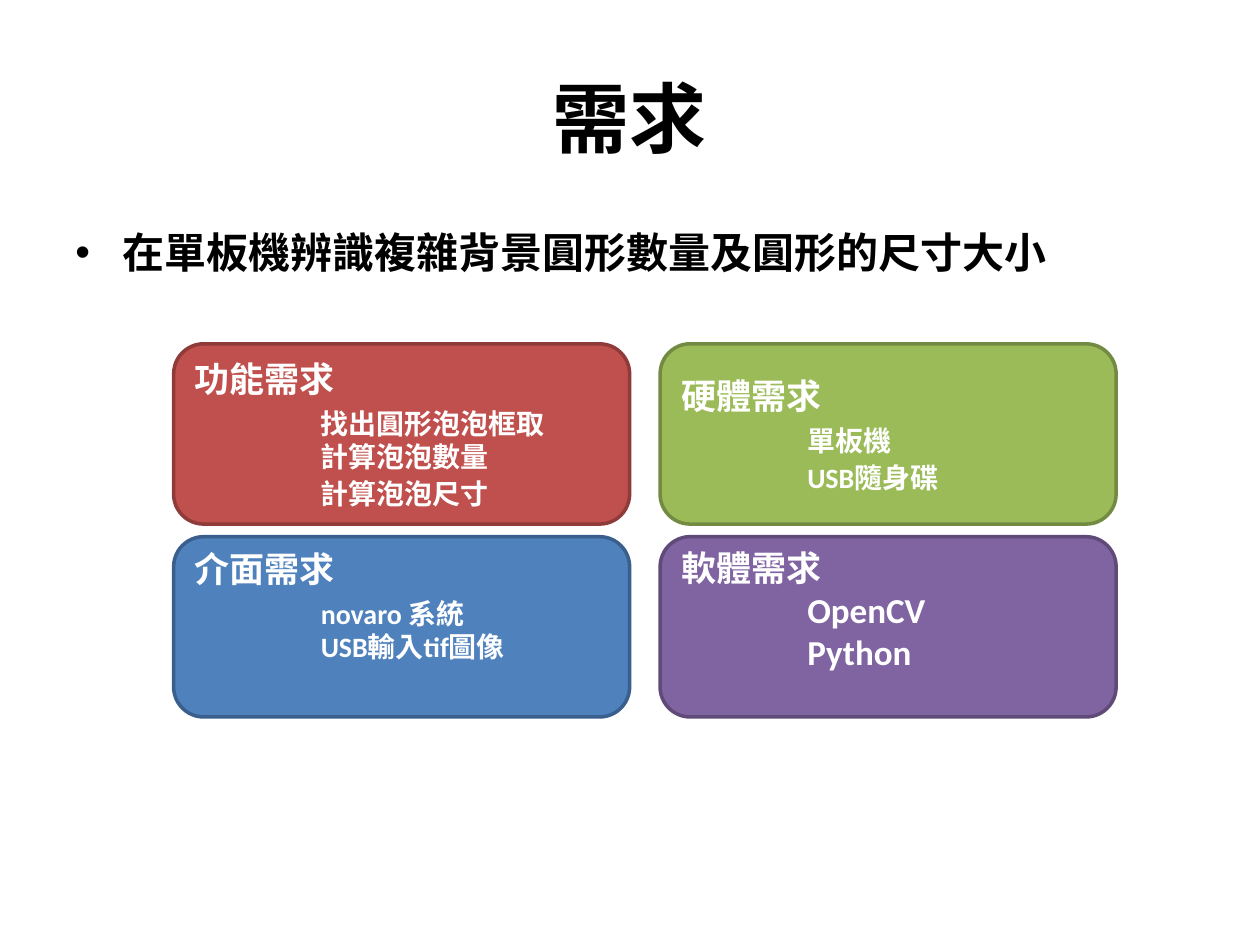
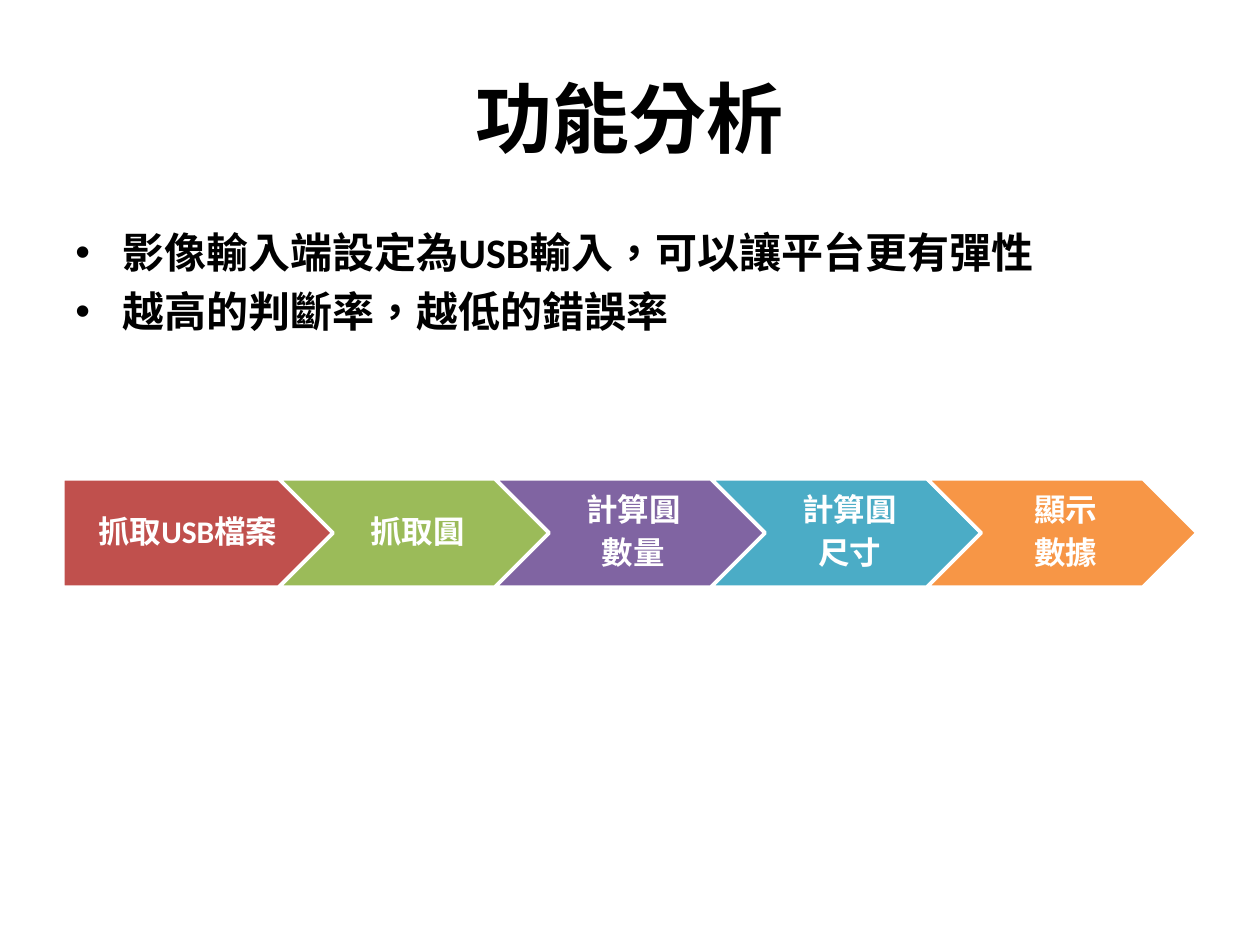
from dataclasses import dataclass

from lxml import etree
from pptx import Presentation
from pptx import util as u
from pptx.dml import color
from pptx.enum import lang, shapes, text
from pptx.oxml import ns

Pt = u.Pt


@dataclass(frozen=True)
class Theme:
    """Colours and type sizes shared by all slides."""
    font: str = "Calibri"
    black: str = "000000"
    white: str = "FFFFFF"
    red: str = "C0504D"
    green: str = "9BBB59"
    blue: str = "4F81BD"
    purple: str = "8064A2"
    teal: str = "4BACC6"
    orange: str = "F79646"
    red_edge: str = "8E3B39"
    green_edge: str = "738A42"
    blue_edge: str = "3A5F8C"
    purple_edge: str = "5F4A78"
    title: int = 44
    bullet: int = 24
    heading: int = 20
    step: int = 18
    item: int = 16


THEME = Theme()
MARGIN, CONTENT_WIDTH = 36, 648


def rgb(value):
    """Turn a hex string into a colour."""
    return color.RGBColor.from_string(value)


def write(para, words, size, ink, align=text.PP_ALIGN.LEFT, before=0, after=0, spacing=1.0, indent=0, hanging=0):
    """Put formatted words into a paragraph."""
    para.alignment, para.line_spacing = align, spacing
    para.space_before, para.space_after = Pt(before), Pt(after)
    span = para.add_run()
    span.text = words
    font = span.font
    font.name, font.size, font.bold = THEME.font, Pt(size), True
    font.color.rgb = rgb(ink)
    font.language_id = lang.MSO_LANGUAGE_ID.TRADITIONAL_CHINESE
    if indent:
        properties = para._p.get_or_add_pPr()
        properties.set("marL", str(Pt(indent)))
        properties.set("indent", str(Pt(-hanging)))


def next_para(frame, index):
    """Return the first paragraph of a frame, or a new one."""
    return frame.add_paragraph() if index else frame.paragraphs[0]


class Builder:
    """Draws each kind of element on the current slide."""

    def __init__(self, deck, theme):
        """Keep the deck and its style."""
        self.deck, self.theme, self.page = deck, theme, None

    def start_page(self, title):
        """Add a slide with its title."""
        self.page = self.deck.slides.add_slide(self.deck.slide_layouts[5])
        box = self.page.shapes.title
        box.left, box.top, box.width, box.height = Pt(MARGIN), Pt(21.6), Pt(CONTENT_WIDTH), Pt(90)
        box.text_frame.vertical_anchor = text.MSO_ANCHOR.MIDDLE
        write(box.text_frame.paragraphs[0], title, self.theme.title, self.theme.black, align=text.PP_ALIGN.CENTER)

    def bullets(self, lines):
        """Add the bulleted body text."""
        box = self.page.shapes.add_textbox(Pt(MARGIN), Pt(126), Pt(CONTENT_WIDTH), Pt(356.4))
        frame = box.text_frame
        frame.word_wrap = True
        for index, line in enumerate(lines):
            para = next_para(frame, index)
            write(para, line, self.theme.bullet, self.theme.black, before=4.8, indent=27, hanging=27)
            properties = para._p.get_or_add_pPr()
            etree.SubElement(properties, ns.qn("a:buFont")).set("typeface", "Arial")
            etree.SubElement(properties, ns.qn("a:buChar")).set("char", "•")

    def block(self, kind, left, top, width, height, fill, edge):
        """Add a filled, outlined shape and return its text frame."""
        box = self.page.shapes.add_shape(kind, Pt(left), Pt(top), Pt(width), Pt(height))
        box.shadow.inherit = False
        box.fill.solid()
        box.fill.fore_color.rgb = rgb(fill)
        box.line.color.rgb = rgb(edge)
        box.line.width = Pt(2)
        frame = box.text_frame
        frame.word_wrap = True
        frame.vertical_anchor = text.MSO_ANCHOR.MIDDLE
        return frame

    def card(self, left, top, fill, edge, heading, items, size, gaps, bottom):
        """Add a rounded card with a heading and indented items."""
        frame = self.block(shapes.MSO_SHAPE.ROUNDED_RECTANGLE, left, top, 260.6, 103, fill, edge)
        frame.margin_bottom = Pt(bottom)
        write(frame.paragraphs[0], heading, self.theme.heading, self.theme.white)
        for item, gap in zip(items, gaps):
            write(frame.add_paragraph(), item, size, self.theme.white, before=gap, indent=72)

    def step(self, kind, left, width, fill, lines):
        """Add one arrow of the process."""
        frame = self.block(kind, left, 273.6, width, 61.9, fill, self.theme.white)
        frame.margin_left, frame.margin_right = Pt(6), Pt(2)
        for index, line in enumerate(lines):
            write(next_para(frame, index), line, self.theme.step, self.theme.white,
                  align=text.PP_ALIGN.CENTER, after=5.5, spacing=0.9)


def requirements(builder):
    """Build the requirements slide."""
    t = builder.theme
    builder.start_page("需求")
    builder.bullets(["在單板機辨識複雜背景圓形數量及圓形的尺寸大小"])
    cards = [
        (t.red, t.red_edge, "功能需求", ["找出圓形泡泡框取", "計算泡泡數量", "計算泡泡尺寸"], t.item, (4, 0, 2), 3.6),
        (t.green, t.green_edge, "硬體需求", ["單板機", "USB隨身碟"], t.item, (4, 2), 3.6),
        (t.blue, t.blue_edge, "介面需求", ["novaro 系統", "USB輸入tif圖像"], t.item, (4, 0), 28),
        (t.purple, t.purple_edge, "軟體需求", ["OpenCV", "Python"], t.heading, (0, 0), 23),
    ]
    for index, card in enumerate(cards):
        row, column = divmod(index, 2)
        builder.card(99.2 + column * 278, 196.5 + row * 110.2, *card)


def analysis(builder):
    """Build the function analysis slide."""
    t = builder.theme
    builder.start_page("功能分析")
    builder.bullets(["影像輸入端設定為USB輸入，可以讓平台更有彈性", "越高的判斷率，越低的錯誤率"])
    steps = [
        (t.red, ["抓取USB檔案"]),
        (t.green, ["抓取圓"]),
        (t.purple, ["計算圓", "數量"]),
        (t.teal, ["計算圓", "尺寸"]),
        (t.orange, ["顯示", "數據"]),
    ]
    width = 154.2
    pitch = (CONTENT_WIDTH - width) / (len(steps) - 1)
    for index, (fill, lines) in enumerate(steps):
        kind = shapes.MSO_SHAPE.CHEVRON if index else shapes.MSO_SHAPE.PENTAGON
        builder.step(kind, MARGIN + index * pitch, width, fill, lines)


def main():
    """Build and save the deck."""
    deck = Presentation()
    deck.slide_width, deck.slide_height = Pt(720), Pt(540)
    builder = Builder(deck, THEME)
    requirements(builder)
    analysis(builder)
    deck.save("out.pptx")


if __name__ == "__main__":
    main()
